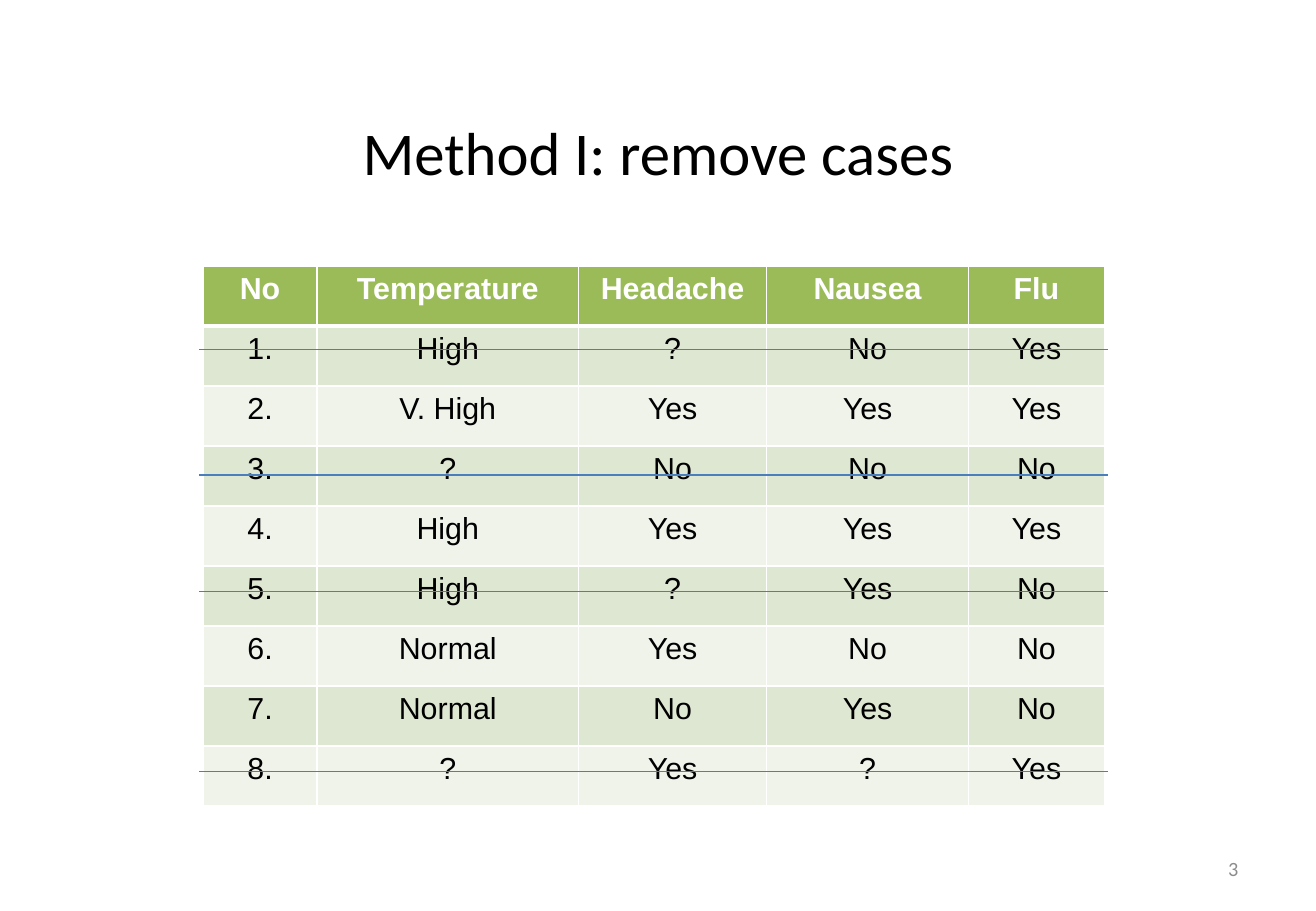
import pptx
import pptx.dml.color
import pptx.enum.shapes
import pptx.enum.text
import pptx.oxml.ns
import pptx.util
from lxml import etree
from pptx.util import Inches

CASES = [
    ["No", "Temperature", "Headache", "Nausea", "Flu"],
    ["1.", "High", "?", "No", "Yes"],
    ["2.", "V. High", "Yes", "Yes", "Yes"],
    ["3.", "?", "No", "No", "No"],
    ["4.", "High", "Yes", "Yes", "Yes"],
    ["5.", "High", "?", "Yes", "No"],
    ["6.", "Normal", "Yes", "No", "No"],
    ["7.", "Normal", "No", "Yes", "No"],
    ["8.", "?", "Yes", "?", "Yes"],
]
COLUMN_WIDTHS = [0.94, 2.15, 1.55, 1.66, 1.12]
TABLE_HEIGHT = 4.45
STRIKE_HEIGHTS = [2.88, 3.91, 4.87, 6.35]


def color(value):
    """Return the colour for a hex string."""
    return pptx.dml.color.RGBColor.from_string(value)


def style_paragraph(paragraph, size, font_name, font_color, alignment, bold=False):
    """Set the font and alignment of a whole paragraph."""
    paragraph.alignment = alignment
    font = paragraph.font
    font.size = pptx.util.Pt(size)
    font.name = font_name
    font.bold = bold
    font.color.rgb = color(font_color)


def add_text(slide, text, box, size, font_color, alignment):
    """Add a vertically centred line of text."""
    shape = slide.shapes.add_textbox(*map(Inches, box))
    frame = shape.text_frame
    frame.word_wrap = True
    frame.vertical_anchor = pptx.enum.text.MSO_ANCHOR.MIDDLE
    frame.text = text
    style_paragraph(frame.paragraphs[0], size, "Calibri", font_color, alignment)


def add_borders(cell, widths):
    """Give a cell white borders with a width in points for each side."""
    properties = cell._tc.get_or_add_tcPr()
    for side, width in widths.items():
        line = etree.SubElement(properties, pptx.oxml.ns.qn(f"a:ln{side}"), w=str(pptx.util.Pt(width)))
        fill = etree.SubElement(line, pptx.oxml.ns.qn("a:solidFill"))
        etree.SubElement(fill, pptx.oxml.ns.qn("a:srgbClr"), val="FFFFFF")


def add_case_table(slide):
    """Add the banded table of patient cases."""
    shape = slide.shapes.add_table(
        len(CASES), len(COLUMN_WIDTHS), Inches(1.67), Inches(2.19),
        Inches(sum(COLUMN_WIDTHS)), Inches(TABLE_HEIGHT))
    table = shape.table
    for column, width in zip(table.columns, COLUMN_WIDTHS):
        column.width = Inches(width)
    for row_index, values in enumerate(CASES):
        header = row_index == 0
        band = "DEE7D1" if row_index % 2 else "EFF3EA"
        for column_index, value in enumerate(values):
            cell = table.cell(row_index, column_index)
            add_borders(cell, {"L": 1, "R": 1, "T": 3 if row_index == 1 else 1, "B": 3 if header else 1})
            cell.fill.solid()
            cell.fill.fore_color.rgb = color("9BBB59" if header else band)
            cell.text = value
            style_paragraph(
                cell.text_frame.paragraphs[0], 18, "Arial",
                "FFFFFF" if header else "000000", pptx.enum.text.PP_ALIGN.CENTER, header)


def add_strike(slide, top):
    """Add a line that crosses out one case."""
    line = slide.shapes.add_connector(
        pptx.enum.shapes.MSO_CONNECTOR.STRAIGHT,
        Inches(1.64), Inches(top), Inches(9.12), Inches(top))
    line.line.color.rgb = color("4B7EBC")
    line.line.width = pptx.util.Pt(0.75)
    etree.SubElement(line._element.spPr, pptx.oxml.ns.qn("a:effectLst"))


def main():
    """Build the slide and save it."""
    presentation = pptx.Presentation()
    presentation.slide_width = Inches(10.83)
    presentation.slide_height = Inches(7.5)
    slide = presentation.slides.add_slide(presentation.slide_layouts[6])
    alignments = pptx.enum.text.PP_ALIGN
    add_text(slide, "Method I: remove cases", (0.54, 0.72, 9.75, 1.05), 36, "000000", alignments.CENTER)
    add_text(slide, "3", (7.76, 6.95, 2.53, 0.4), 12, "8C8C8C", alignments.RIGHT)
    add_case_table(slide)
    for top in STRIKE_HEIGHTS:
        add_strike(slide, top)
    presentation.save("out.pptx")


if __name__ == "__main__":
    main()
